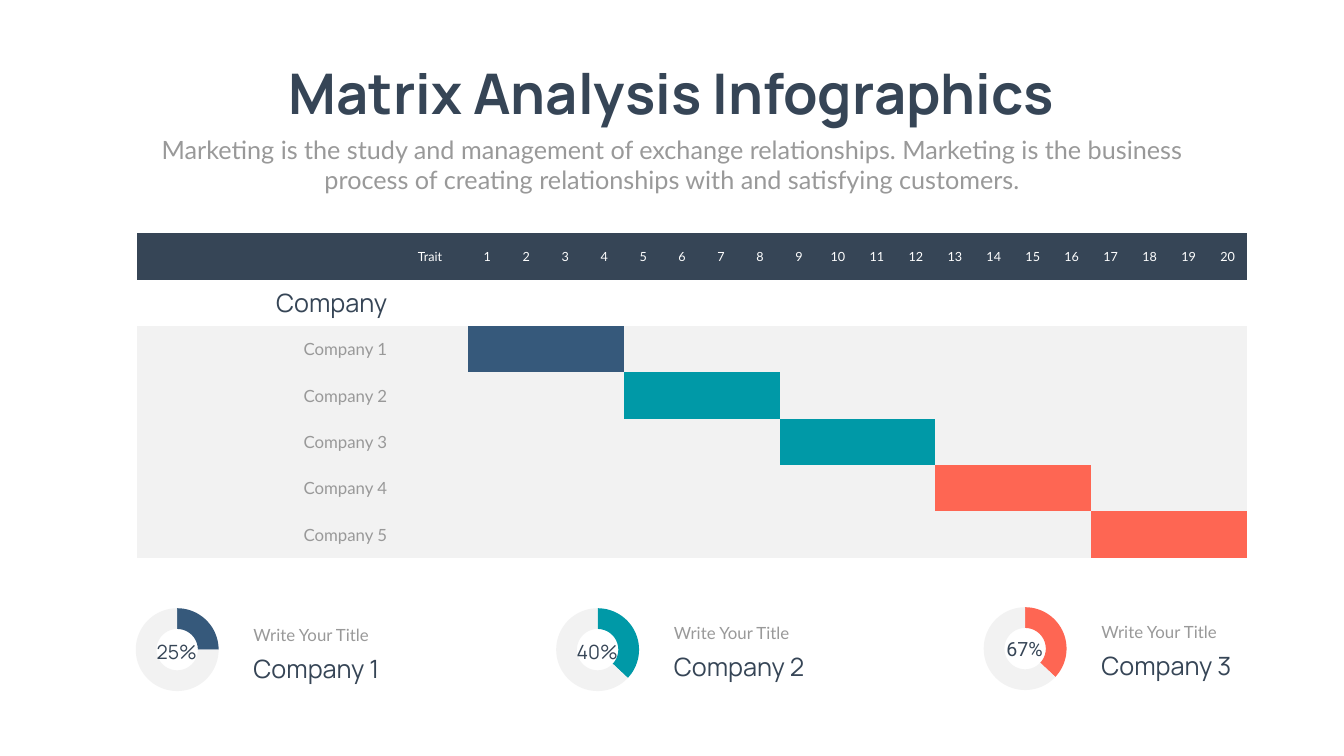
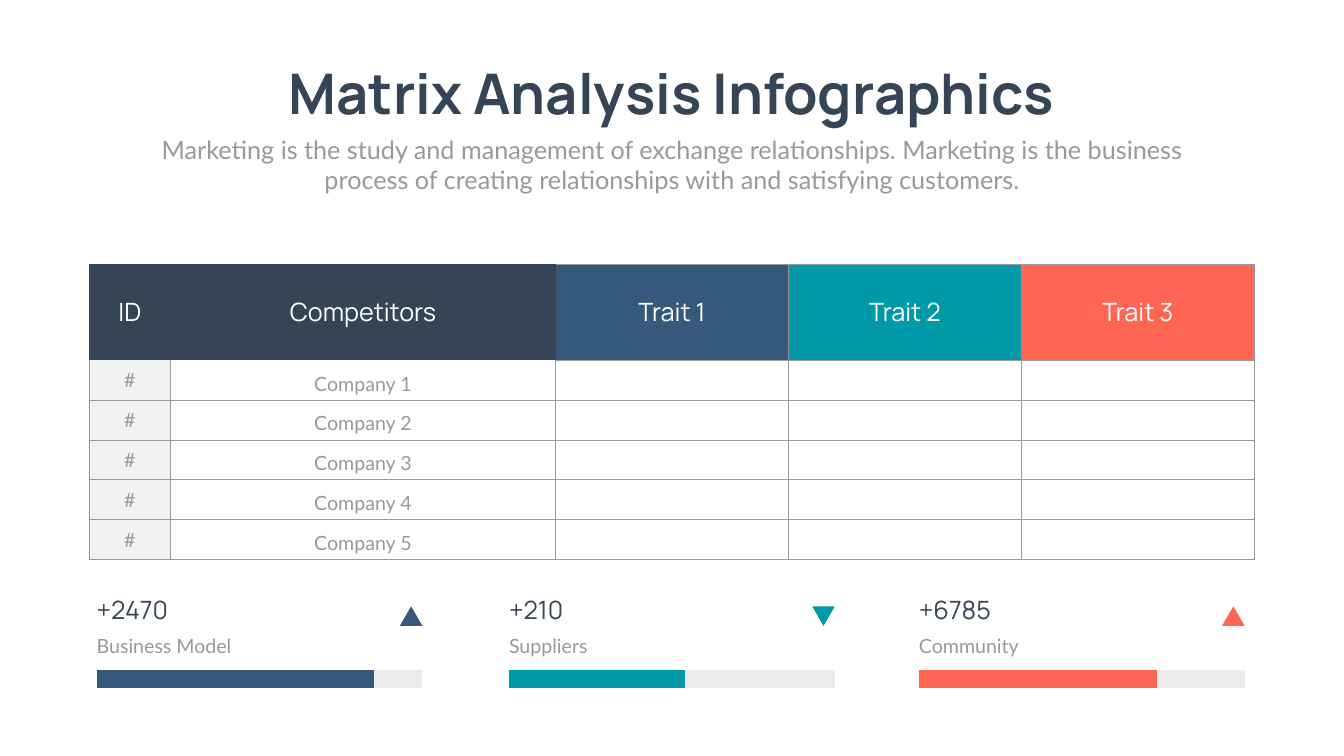
from dataclasses import dataclass

from lxml import etree
from pptx import Presentation
from pptx.chart.data import CategoryChartData
from pptx.dml.color import RGBColor
from pptx.enum.chart import XL_CHART_TYPE
from pptx.enum.shapes import MSO_CONNECTOR, MSO_SHAPE
from pptx.enum.text import MSO_ANCHOR, MSO_AUTO_SIZE, PP_ALIGN
from pptx.oxml.ns import qn
from pptx.util import Inches, Pt

LEFT, CENTER, RIGHT = PP_ALIGN.LEFT, PP_ALIGN.CENTER, PP_ALIGN.RIGHT
TOP, MIDDLE = MSO_ANCHOR.TOP, MSO_ANCHOR.MIDDLE
FIXED = MSO_AUTO_SIZE.NONE
RING = XL_CHART_TYPE.DOUGHNUT
STRAIGHT = MSO_CONNECTOR.STRAIGHT
TRIANGLE = MSO_SHAPE.ISOSCELES_TRIANGLE
PLAIN = "{2D5ABB26-0587-4C30-8999-92F81FD0307C}"  # no style, no grid


@dataclass(frozen=True)
class Theme:
    dark: str = "364556"
    blue: str = "36597B"
    teal: str = "0099A7"
    coral: str = "FE6653"
    grey: str = "999999"
    pale: str = "F2F2F2"
    track: str = "EBEBEB"
    white: str = "FFFFFF"
    head: str = "Manrope"
    body: str = "Lato"
    title: int = 80
    large: int = 36
    mid: int = 28
    small: int = 24
    tiny: int = 18


T = Theme()
TITLE = "Matrix Analysis Infographics"
INTRO = ("Marketing is the study and management of exchange relationships. "
         "Marketing is the business process of creating relationships with "
         "and satisfying customers.")
FIRMS = [f"Company {n}" for n in range(1, 6)]


def rgb(code):
    return RGBColor.from_string(code)


def paint(part, color):
    part.fill.solid()
    part.fill.fore_color.rgb = rgb(color)


def write(frame, text, size, color, face, align=LEFT, bold=False, pitch=None):
    """Fill a text frame with one styled paragraph."""
    frame.text = text
    para = frame.paragraphs[0]
    para.alignment = align
    if pitch:
        para.line_spacing = Pt(pitch)
    for run in para.runs:
        font = run.font
        font.name, font.size, font.bold = face, Pt(size), bold
        font.color.rgb = rgb(color)


def place(shape, left, top, width, height):
    shape.left, shape.top = Inches(left), Inches(top)
    shape.width, shape.height = Inches(width), Inches(height)


def label(slide, box, text, size, color, face, **style):
    shape = slide.shapes.add_textbox(*map(Inches, box))
    shape.text_frame.word_wrap = True
    write(shape.text_frame, text, size, color, face, **style)


def start(deck):
    """Add a slide with the shared title and introduction."""
    slide = deck.slides.add_slide(deck.slide_layouts[0])
    title, intro = slide.placeholders
    place(title, 4.97, 1.12, 16.71, 1.45)
    place(intro, 2.92, 2.61, 20.82, 1.31)
    for shape in (title, intro):
        frame = shape.text_frame
        frame.auto_size = FIXED
        frame.vertical_anchor = TOP
        frame.word_wrap = shape is intro
    write(title.text_frame, TITLE, T.title, T.dark, T.head, CENTER, True)
    write(intro.text_frame, INTRO, T.large, T.grey, T.body, CENTER)
    intro.text_frame.paragraphs[0].space_before = Pt(0)
    intro.text_frame.paragraphs[0].line_spacing = 1.0
    return slide


def grid(slide, left, top, cols, rows):
    """Add an unstyled table with the given column widths and row heights."""
    box = map(Inches, (left, top, sum(cols), sum(rows)))
    frame = slide.shapes.add_table(len(rows), len(cols), *box)
    table = frame.table
    table.first_row = table.horz_banding = False
    table._tbl.tblPr.find(qn("a:tableStyleId")).text = PLAIN
    for col, width in zip(table.columns, cols):
        col.width = Inches(width)
    for row, height in zip(table.rows, rows):
        row.height = Inches(height)
    return table


def put(cell, text, size, color, face, align=CENTER, pitch=None):
    cell.vertical_anchor = MIDDLE
    write(cell.text_frame, text, size, color, face, align, pitch=pitch)


def edge(cell, sides):
    """Draw thin grey borders on the sides named by letters of LRTB."""
    props = cell._tc.get_or_add_tcPr()
    for spot, side in enumerate(sides):
        line = etree.Element(qn(f"a:ln{side}"), w=str(Pt(1)))
        fill = etree.SubElement(line, qn("a:solidFill"))
        etree.SubElement(fill, qn("a:srgbClr"), val=T.grey)
        props.insert(spot, line)


def plan(slide, left, top):
    """Table of traits with a bar of four cells for each company."""
    span, steps = 4, 20
    bars = (T.blue, T.teal, T.teal, T.coral, T.coral)
    cols = [5.06, 1.5] + [15.46 / steps] * steps
    table = grid(slide, left, top, cols, [0.92] * 7)
    heads = ["", "Trait"] + [str(n) for n in range(1, steps + 1)]
    for col, text in enumerate(heads):
        cell = table.cell(0, col)
        paint(cell, T.dark)
        paint(table.cell(1, col), T.white)
        if text:
            cell.margin_left = cell.margin_right = 0
            put(cell, text, T.tiny, T.white, T.body)
    put(table.cell(1, 0), "Company", T.large, T.dark, T.head, RIGHT)
    for num, (firm, color) in enumerate(zip(FIRMS, bars)):
        first = 2 + num * span
        for col in range(len(cols)):
            on = first <= col < first + span
            paint(table.cell(num + 2, col), color if on else T.pale)
        put(table.cell(num + 2, 0), firm, T.small, T.grey, T.body, RIGHT)


def ring(slide, left, top, value, color):
    data = CategoryChartData()
    data.categories = ["1", "2"]
    data.add_series("Series 1", (value, 100 - value))
    box = map(Inches, (left, top, 1.99, 1.92))
    chart = slide.shapes.add_chart(RING, *box, data).chart
    chart.has_title = chart.has_legend = False
    chart.font.name, chart.font.size = "Calibri", Pt(10)
    chart.font.color.rgb = rgb(T.grey)
    plot = chart.plots[0]
    plot.vary_by_categories = False
    plot._element.find(qn("c:holeSize")).set("val", "80")
    for num, shade in enumerate((color, T.pale)):
        form = plot.series[0].points[num].format
        paint(form, shade)
        form.line.fill.background()


def badge(slide, left, top, value, color, share, firm, drop, low, face):
    """Ring with its share, and a caption set drop below the top."""
    ring(slide, left, top, value, color)
    side = left + 2.41
    label(slide, (side, top + drop + 0.57, 3.5, 0.71), firm,
          T.large, T.dark, T.head)
    label(slide, (side, top + drop, 2.88, 0.5), "Write Your Title",
          T.small, T.grey, T.body)
    label(slide, (left + 0.11, top + low, 1.75, 0.57), share,
          T.mid, T.dark, face, align=CENTER)


def matrix(slide, left, top):
    """Ruled table of competitors against three traits."""
    heads = (("ID", T.dark), ("Competitors", T.dark), ("Trait 1", T.blue),
             ("Trait 2", T.teal), ("Trait 3", T.coral))
    table = grid(slide, left, top, [1.61, 7.64] + [4.62] * 3,
                 [1.91] + [0.79] * 5)
    for col, (text, color) in enumerate(heads):
        cell = table.cell(0, col)
        cell.margin_left = cell.margin_right = Inches(0.14)
        cell.margin_top = cell.margin_bottom = Inches(0.07)
        put(cell, text, T.large, T.white, T.head)
        paint(cell, color)
        edge(cell, "" if col < 2 else "RTB" if col == 2 else "LRTB")
    for row, firm in enumerate(FIRMS, 1):
        put(table.cell(row, 0), "#", T.mid, T.grey, T.body)
        put(table.cell(row, 1), firm, T.mid, T.grey, T.body, pitch=43)
        for col in range(len(heads)):
            cell = table.cell(row, col)
            paint(cell, T.white if col else T.pale)
            edge(cell, "LRB" if row == 1 and col < 2 else "LRTB")


def bar(slide, left, top, width, color):
    ends = map(Inches, (left, top, left + width, top))
    line = slide.shapes.add_connector(STRAIGHT, *ends)
    line.line.color.rgb = rgb(color)
    line.line.width = Pt(25)
    etree.SubElement(line._element.spPr, qn("a:effectLst"))


def meter(slide, left, top, color, count, name, share, turn):
    """Count and name over a progress bar, with a trend mark at the right."""
    width = 6.46
    bar(slide, left, top + 1.72, width, T.track)
    bar(slide, left, top + 1.72, width * share, color)
    box = map(Inches, (left + width - 0.45, top + 0.28, 0.45, 0.39))
    mark = slide.shapes.add_shape(TRIANGLE, *box)
    mark.shadow.inherit = False
    mark.rotation = turn
    paint(mark, color)
    mark.line.fill.background()
    label(slide, (left - 0.1, top + 0.68, 2.93, 0.62), name,
          T.mid, T.grey, T.body, pitch=40.8)
    label(slide, (left - 0.1, top, 2.04, 0.71), count,
          T.large, T.dark, T.head)


def main():
    deck = Presentation()
    deck.slide_width, deck.slide_height = Inches(26.66), Inches(15)

    slide = start(deck)
    plan(slide, 2.72, 4.63)
    for item in (
        (2.52, 11.93, 25, T.blue, "25%", FIRMS[0], 0.41, 0.72, T.head),
        (10.86, 11.93, 37, T.teal, "40%", FIRMS[1], 0.37, 0.72, T.head),
        (19.34, 11.91, 37, T.coral, "67%", FIRMS[2], 0.37, 0.68, "Roboto"),
    ):
        badge(slide, *item)

    slide = start(deck)
    matrix(slide, 1.77, 5.24)
    for item in (
        (1.92, 11.75, T.blue, "+2470", "Business Model", 0.85, 0),
        (10.1, 11.75, T.teal, "+210", "Suppliers", 0.54, 180),
        (18.23, 11.75, T.coral, "+6785", "Community", 0.73, 0),
    ):
        meter(slide, *item)

    deck.save("out.pptx")


if __name__ == "__main__":
    main()
